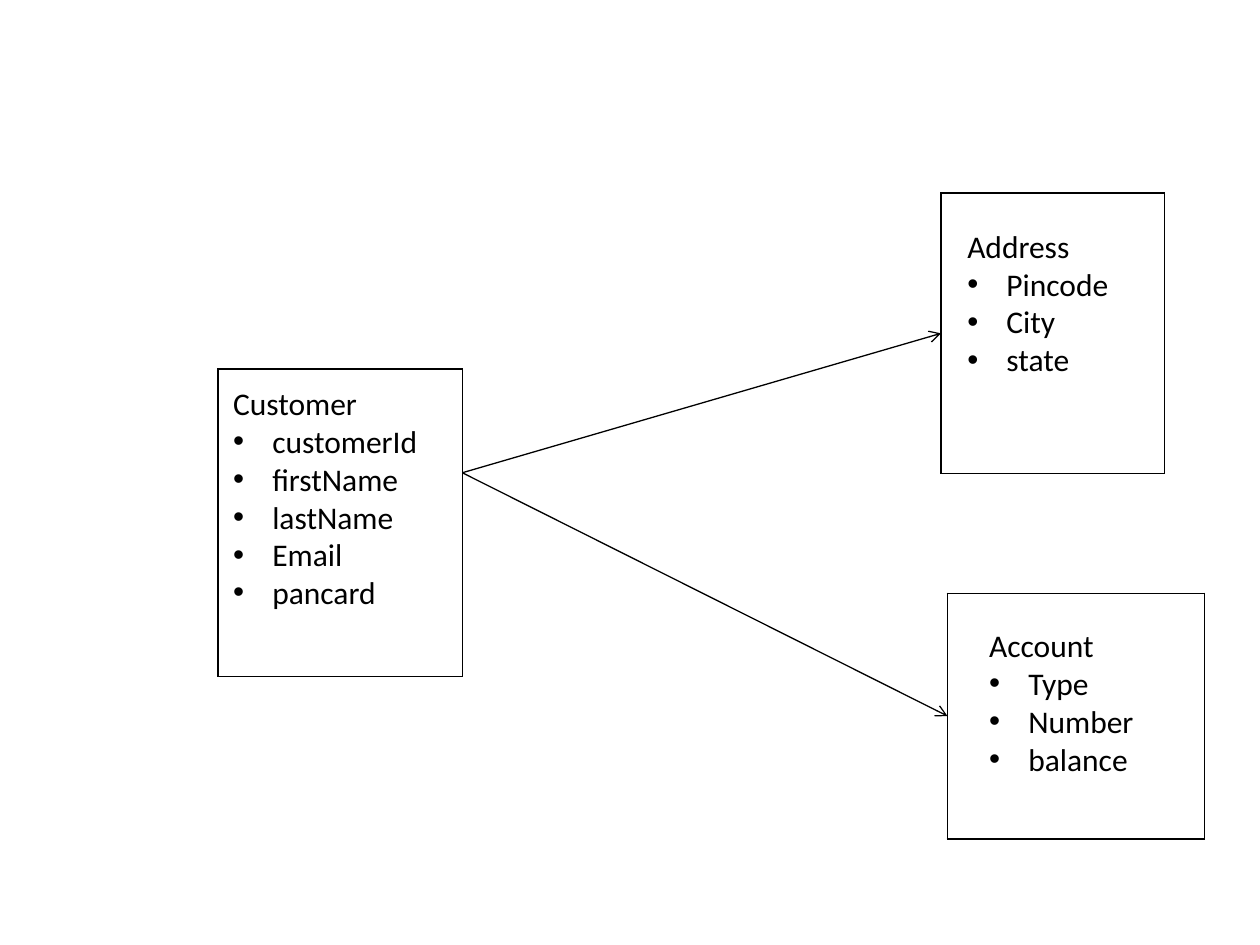
from typing import NamedTuple

from lxml.etree import SubElement
from pptx import Presentation
from pptx.dml.color import RGBColor
from pptx.enum.shapes import MSO_CONNECTOR as Connector
from pptx.enum.text import MSO_AUTO_SIZE as AutoSize
from pptx.oxml import parse_xml
from pptx.oxml.ns import nsdecls, qn
from pptx.util import Cm, Pt

BLACK = "000000"
BULLET_INDENT = Cm(0.79)


class Box(NamedTuple):
    left: float
    top: float
    width: float
    height: float


class Entity(NamedTuple):
    name: str
    fields: tuple[str, ...]
    frame: Box
    label: Box


CUSTOMER = Entity(
    "Customer",
    ("customerId", "firstName", "lastName", "Email", "pancard"),
    Box(4.39, 7.44, 4.93, 6.2),
    Box(4.45, 7.62, 4.27, 5.64),
)
ADDRESS = Entity(
    "Address",
    ("Pincode", "City", "state"),
    Box(18.97, 3.89, 4.5, 5.66),
    Box(19.25, 4.45, 3.4, 4.11),
)
ACCOUNT = Entity(
    "Account",
    ("Type", "Number", "balance"),
    Box(19.1, 11.96, 5.18, 4.95),
    Box(19.69, 12.5, 3.45, 3.33),
)
LINK_START = (CUSTOMER.frame.left + CUSTOMER.frame.width, 9.53)


def color(value: str) -> RGBColor:
    return RGBColor.from_string(value)


def add_text(paragraph, text: str, *, size: float = 18, font: str = "Calibri",
             fill: str = BLACK, bullet: bool = False) -> None:
    run = paragraph.add_run()
    run.text = text
    run.font.size = Pt(size)
    run.font.name = font
    run.font.color.rgb = color(fill)
    if bullet:
        properties = paragraph._p.get_or_add_pPr()
        properties.set("marL", str(BULLET_INDENT))
        properties.set("indent", str(-BULLET_INDENT))
        SubElement(properties, qn("a:buFont"), typeface="Arial")
        SubElement(properties, qn("a:buChar"), char="•")


def add_label(slide, entity: Entity) -> None:
    text_box = slide.shapes.add_textbox(*map(Cm, entity.label))
    frame = text_box.text_frame
    frame.word_wrap = False
    frame.auto_size = AutoSize.SHAPE_TO_FIT_TEXT
    add_text(frame.paragraphs[0], entity.name)
    for field in entity.fields:
        add_text(frame.add_paragraph(), field, bullet=True)


def add_frame(slide, entity: Entity) -> None:
    table = slide.shapes.add_table(1, 1, *map(Cm, entity.frame)).table
    table.first_row = False
    table.horz_banding = False
    cell = table.cell(0, 0)
    cell.fill.background()
    properties = cell._tc.get_or_add_tcPr()
    for index, side in enumerate(("lnL", "lnR", "lnT", "lnB")):
        border = parse_xml(
            f'<a:{side} {nsdecls("a")} w="{Pt(1)}"><a:solidFill>'
            f'<a:srgbClr val="{BLACK}"/></a:solidFill></a:{side}>'
        )
        properties.insert(index, border)


def add_link(slide, target: Entity) -> None:
    frame = target.frame
    end = (frame.left, frame.top + frame.height / 2)
    connector = slide.shapes.add_connector(
        Connector.STRAIGHT, *map(Cm, LINK_START + end)
    )
    connector.line.color.rgb = color(BLACK)
    connector.line.width = Pt(0.75)
    SubElement(connector.line._get_or_add_ln(), qn("a:tailEnd"), type="arrow")
    SubElement(connector._element.spPr, qn("a:effectLst"))


def main() -> None:
    presentation = Presentation()
    presentation.slide_width = Cm(25.4)
    presentation.slide_height = Cm(19.05)
    slide = presentation.slides.add_slide(presentation.slide_layouts[6])
    entities = (CUSTOMER, ADDRESS, ACCOUNT)
    for entity in entities:
        add_label(slide, entity)
    for entity in entities:
        add_frame(slide, entity)
    for target in (ADDRESS, ACCOUNT):
        add_link(slide, target)
    presentation.save("out.pptx")


if __name__ == "__main__":
    main()
